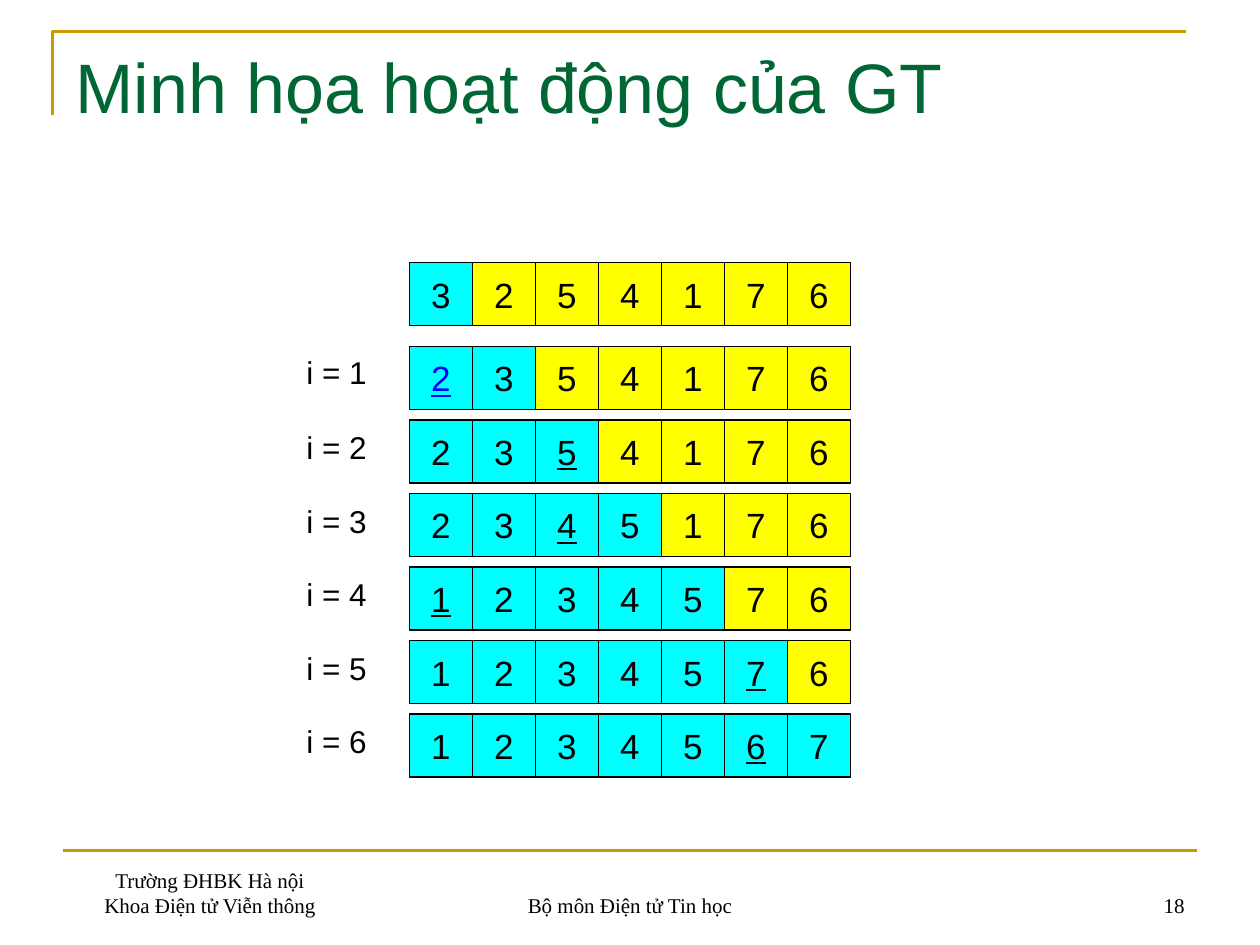
from lxml.etree import SubElement
from pptx import Presentation
from pptx.dml.color import RGBColor
from pptx.enum.shapes import MSO_CONNECTOR, MSO_SHAPE
from pptx.enum.text import MSO_ANCHOR as ANCHOR, MSO_AUTO_SIZE as AUTO, PP_ALIGN as ALIGN
from pptx.oxml.ns import qn
from pptx.util import Pt

PX = 7620
COLORS = {
    "gold": "CC9900", "title": "006633", "text": "000000", "link": "0000FF",
    "sorted": "00FFFF", "unsorted": "FFFF00",
}
SANS, SERIF = "Arial", "Times New Roman"
VALUES = [3, 2, 5, 4, 1, 7, 6]
CELL, LEFT, START_TOP, FIRST_TOP, PITCH = 60, 390, 250, 330, 70


def px(*lengths):
    """Convert pixel lengths to EMU."""
    return [n * PX for n in lengths]


def rgb(name):
    """Look up a named colour."""
    return RGBColor.from_string(COLORS[name])


def add_run(p, text, size, font=SANS, color="text", underline=None):
    """Add one formatted run to a paragraph."""
    r = p.add_run()
    r.text = text
    r.font.size = Pt(size)
    r.font.name = font
    r.font.color.rgb = rgb(color)
    r.font.underline = underline


def add_text(s, box, lines, size, font=SANS, color="text", align=ALIGN.LEFT,
             anchor=ANCHOR.TOP, grow=False):
    """Add a wrapping text box with one paragraph per line."""
    tf = s.shapes.add_textbox(*px(*box)).text_frame
    tf.word_wrap = True
    tf.vertical_anchor = anchor
    if grow:
        tf.auto_size = AUTO.SHAPE_TO_FIT_TEXT
    for i, line in enumerate(lines):
        p = tf.add_paragraph() if i else tf.paragraphs[0]
        p.alignment = align
        add_run(p, line, size, font, color)


def add_frame(s):
    """Draw the gold corner outline and the footer rule."""
    fb = s.shapes.build_freeform(50, 110, scale=PX)
    fb.add_line_segments([(50, 30), (1130, 30)], close=False)
    corner = fb.convert_to_shape()
    corner.shadow.inherit = False
    corner.fill.background()
    rule = s.shapes.add_connector(MSO_CONNECTOR.STRAIGHT, *px(60, 810, 1140, 810))
    SubElement(rule._element.spPr, qn("a:effectLst"))
    for sp in (corner, rule):
        sp.line.color.rgb = rgb("gold")
        sp.line.width = Pt(1.5)


def add_cell(s, x, y, value, fill, color="text", underline=None):
    """Add one square array cell."""
    sp = s.shapes.add_shape(MSO_SHAPE.RECTANGLE, *px(x, y, CELL, CELL))
    sp.shadow.inherit = False
    sp.fill.solid()
    sp.fill.fore_color.rgb = rgb(fill)
    sp.line.color.rgb = rgb("text")
    sp.line.width = Pt(0.75)
    tf = sp.text_frame
    tf.word_wrap = False
    tf.vertical_anchor = ANCHOR.MIDDLE
    p = tf.paragraphs[0]
    p.alignment = ALIGN.CENTER
    add_run(p, str(value), 20, SANS, color, underline)


def add_step(s, i):
    """Draw the array after insertion step i, underlining the inserted value."""
    top = FIRST_TOP + (i - 1) * PITCH if i else START_TOP
    row = sorted(VALUES[:i + 1]) + VALUES[i + 1:]
    for col, value in enumerate(row):
        inserted = i > 0 and value == VALUES[i]
        add_cell(s, LEFT + col * CELL, top, value,
                 "sorted" if col <= i else "unsorted",
                 "link" if inserted and i == 1 else "text", inserted or None)
    if i:
        label_top = top + (2 if i > 1 else 0)
        add_text(s, (280, label_top, 100, 48), [f"i = {i}"], 18, grow=True)


def add_footer(s):
    """Add the three footer texts."""
    for x, w, lines, align in (
        (60, 280, ["Trường ĐHBK Hà nội", "Khoa Điện tử Viễn thông"], ALIGN.CENTER),
        (410, 380, ["Bộ môn Điện tử Tin học"], ALIGN.CENTER),
        (860, 280, ["18"], ALIGN.RIGHT),
    ):
        add_text(s, (x, 820, w, 60), lines, 12, SERIF, align=align, anchor=ANCHOR.BOTTOM)


def main():
    """Build and save the slide."""
    prs = Presentation()
    prs.slide_width, prs.slide_height = px(1200, 900)
    s = prs.slides.add_slide(prs.slide_layouts[6])
    add_frame(s)
    add_text(s, (60, 36, 1080, 150), ["Minh họa hoạt động của GT"], 40, color="title")
    add_footer(s)
    for i in range(len(VALUES)):
        add_step(s, i)
    prs.save("out.pptx")


if __name__ == "__main__":
    main()
